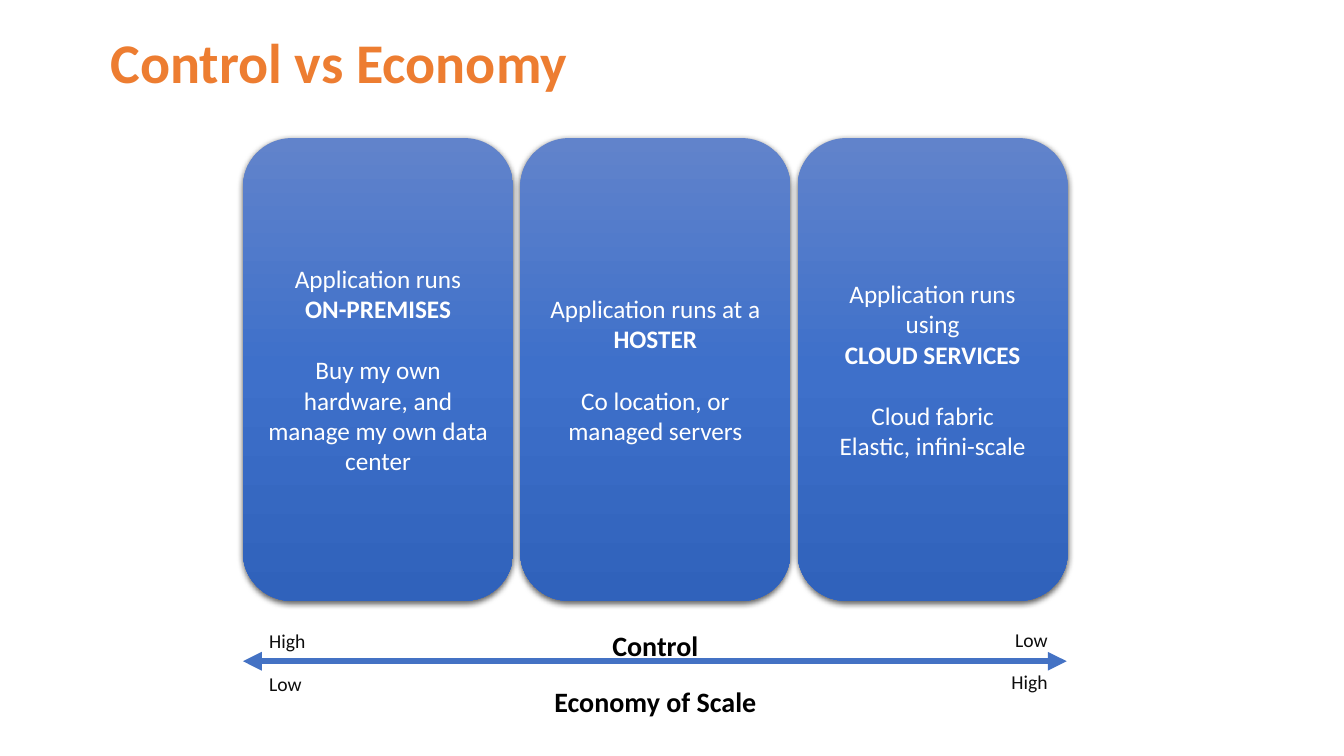
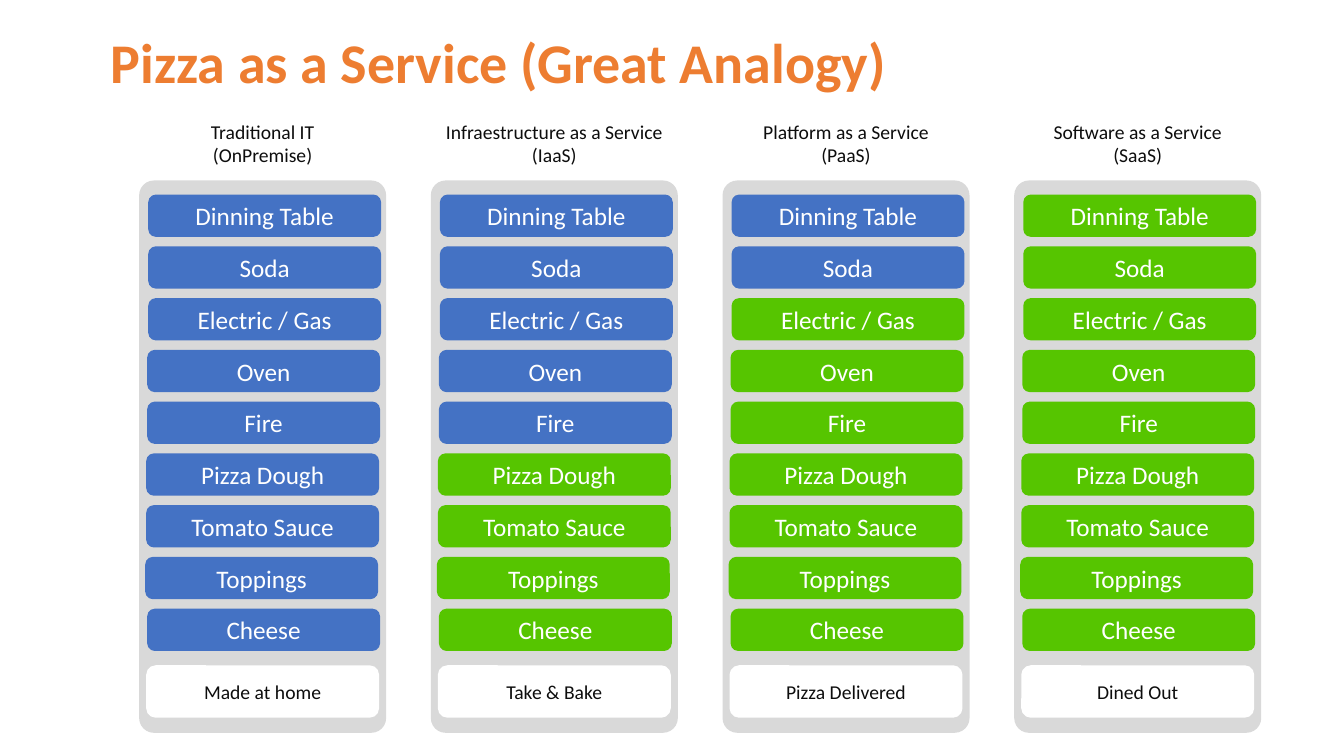
import copy
from pptx import Presentation
from pptx import util as u
from pptx.dml.color import RGBColor
from pptx.enum import shapes, text
from pptx.oxml import parse_xml
from pptx.oxml.ns import nsdecls, qn

FONT = "Calibri"
ORANGE = RGBColor(0xED, 0x7D, 0x31)
BLUE = RGBColor(0x44, 0x72, 0xC4)
GREEN = RGBColor(0x56, 0xC5, 0x00)
GRAY = RGBColor(0xD9, 0xD9, 0xD9)
WHITE = RGBColor(0xFF, 0xFF, 0xFF)
BLACK = RGBColor(0x00, 0x00, 0x00)
INK = RGBColor(0x0D, 0x0D, 0x0D)
GRADIENT = [
    (0, RGBColor(0x61, 0x83, 0xCB)),
    (0.5, RGBColor(0x3E, 0x70, 0xCA)),
    (1, RGBColor(0x30, 0x62, 0xBB)),
]
LEFT, CENTER, RIGHT = text.PP_ALIGN.LEFT, text.PP_ALIGN.CENTER, text.PP_ALIGN.RIGHT


def write(sp, lines, size, color, align=CENTER, bold=False, spacing=None):
    tf = sp.text_frame
    tf.word_wrap = True
    for i, line in enumerate(lines):
        p = tf.paragraphs[0] if i == 0 else tf.add_paragraph()
        p.alignment = align
        if spacing:
            p.line_spacing = u.Pt(spacing)
        r = p.add_run()
        r.text = line
        r.font.name = FONT
        r.font.size = u.Pt(size)
        r.font.bold = bold
        r.font.color.rgb = color
    return tf


def add_box(parent, x, y, w, h, fill, adj=0.18):
    sp = parent.add_shape(shapes.MSO_SHAPE.ROUNDED_RECTANGLE,
                          u.Inches(x), u.Inches(y), u.Inches(w), u.Inches(h))
    sp.adjustments[0] = adj
    sp.fill.solid()
    sp.fill.fore_color.rgb = fill
    sp.line.fill.background()
    sp.shadow.inherit = False
    sp.text_frame.vertical_anchor = text.MSO_ANCHOR.MIDDLE
    return sp


prs = Presentation()
prs.slide_width = u.Inches(13.33)
prs.slide_height = u.Inches(7.5)

slides = []
for title in ["Control vs Economy", "Pizza as a Service (Great Analogy)"]:
    s = prs.slides.add_slide(prs.slide_layouts[6])
    sp = s.shapes.add_textbox(u.Inches(1), u.Inches(0.2), u.Inches(11.9), u.Inches(0.77))
    write(sp, [title], 40, ORANGE, LEFT, True, 50)
    slides.append(s)
control, pizza = slides

CARDS = [
    ["Application runs", "ON-PREMISES",
     "Buy my own hardware, and manage my own data center"],
    ["Application runs at a", "HOSTER", "Co location, or managed servers"],
    ["Application runs using", "CLOUD SERVICES", "Cloud fabric", "Elastic, infini-scale"],
]
for i, lines in enumerate(CARDS):
    sp = add_box(control.shapes, 2.41 + 2.75 * i, 1.37, 2.68, 4.59, BLUE)
    sp.fill.gradient()
    sp.fill.gradient_angle = 270
    sp_pr = sp._element.spPr
    gs_lst = sp_pr.find(".//" + qn("a:gsLst"))
    gs_lst.append(copy.deepcopy(gs_lst[0]))
    for stop, (position, color) in zip(sp.fill.gradient_stops, GRADIENT):
        stop.position = position
        stop.color.rgb = color
    sp_pr.find(qn("a:effectLst")).append(parse_xml(
        f'<a:outerShdw {nsdecls("a")} blurRad="57150" dist="19050" dir="5400000"'
        ' algn="ctr" rotWithShape="0"><a:srgbClr val="000000">'
        '<a:alpha val="63000"/></a:srgbClr></a:outerShdw>'))
    tf = write(sp, lines, 18, WHITE)
    tf.paragraphs[1].runs[0].font.bold = True
    tf.paragraphs[2].space_before = u.Pt(22)

arrow = control.shapes.add_connector(shapes.MSO_CONNECTOR.STRAIGHT, u.Inches(2.41),
                                     u.Inches(6.56), u.Inches(10.58), u.Inches(6.56))
arrow.line.color.rgb = BLUE
arrow.line.width = u.Pt(4.5)
ln = arrow.line._get_or_add_ln()
for end in ["headEnd", "tailEnd"]:
    ln.append(parse_xml(f'<a:{end} {nsdecls("a")} type="triangle"/>'))
arrow._element.spPr.append(parse_xml(f'<a:effectLst {nsdecls("a")}/>'))

for label, y in [("Control", 5.82), ("Economy of Scale", 6.38)]:
    sp = control.shapes.add_textbox(u.Inches(5.16), u.Inches(y), u.Inches(2.68), u.Inches(0.71))
    write(sp, [label], 20, BLACK, CENTER, True, 50)

for label, x, y, align in [("High", 2.57, 6.19, LEFT), ("Low", 2.57, 6.62, LEFT),
                           ("Low", 8.67, 6.18, RIGHT), ("High", 8.67, 6.6, RIGHT)]:
    sp = control.shapes.add_textbox(u.Inches(x), u.Inches(y), u.Inches(1.82), u.Inches(0.34))
    write(sp, [label], 14, INK, align)

LAYERS = [
    ("Dinning Table", 0.09), ("Soda", 0.09), ("Electric / Gas", 0.09),
    ("Oven", 0.08), ("Fire", 0.08), ("Pizza Dough", 0.07),
    ("Tomato Sauce", 0.07), ("Toppings", 0.06), ("Cheese", 0.08),
]
MODELS = [
    (["Traditional IT", "(OnPremise)"], "Made at home", 9),
    (["Infraestructure as a Service (IaaS)"], "Take & Bake", 5),
    (["Platform as a Service", "(PaaS)"], "Pizza Delivered", 2),
    (["Software as a Service", "(SaaS)"], "Dined Out", 0),
]
for i, (heading, result, own_layers) in enumerate(MODELS):
    x = 1.38 + 2.893 * i
    column = pizza.shapes.add_group_shape().shapes
    add_box(column, x, 1.79, 2.45, 5.48, GRAY, 0.06)
    write(add_box(column, x + 0.07, 6.6, 2.31, 0.52, WHITE), [result], 14, INK)
    for j, (layer, inset) in enumerate(LAYERS):
        fill = BLUE if j < own_layers else GREEN
        sp = add_box(column, x + inset, 1.93 + 0.5135 * j, 2.31, 0.42, fill)
        write(sp, [layer], 18, WHITE)
    write(add_box(column, x, 1.16, 2.45, 0.52, WHITE), heading, 14, INK)

prs.save("out.pptx")
